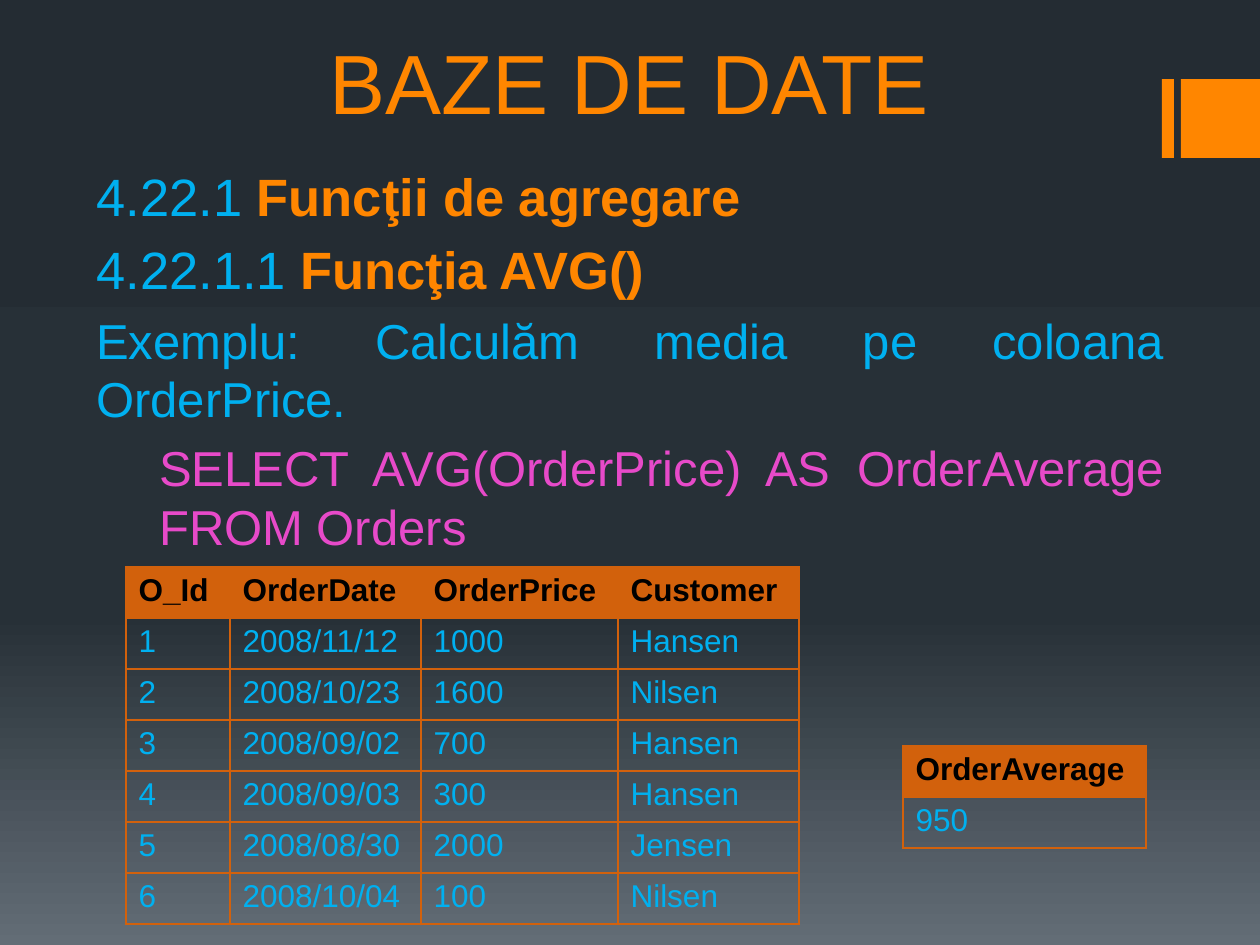
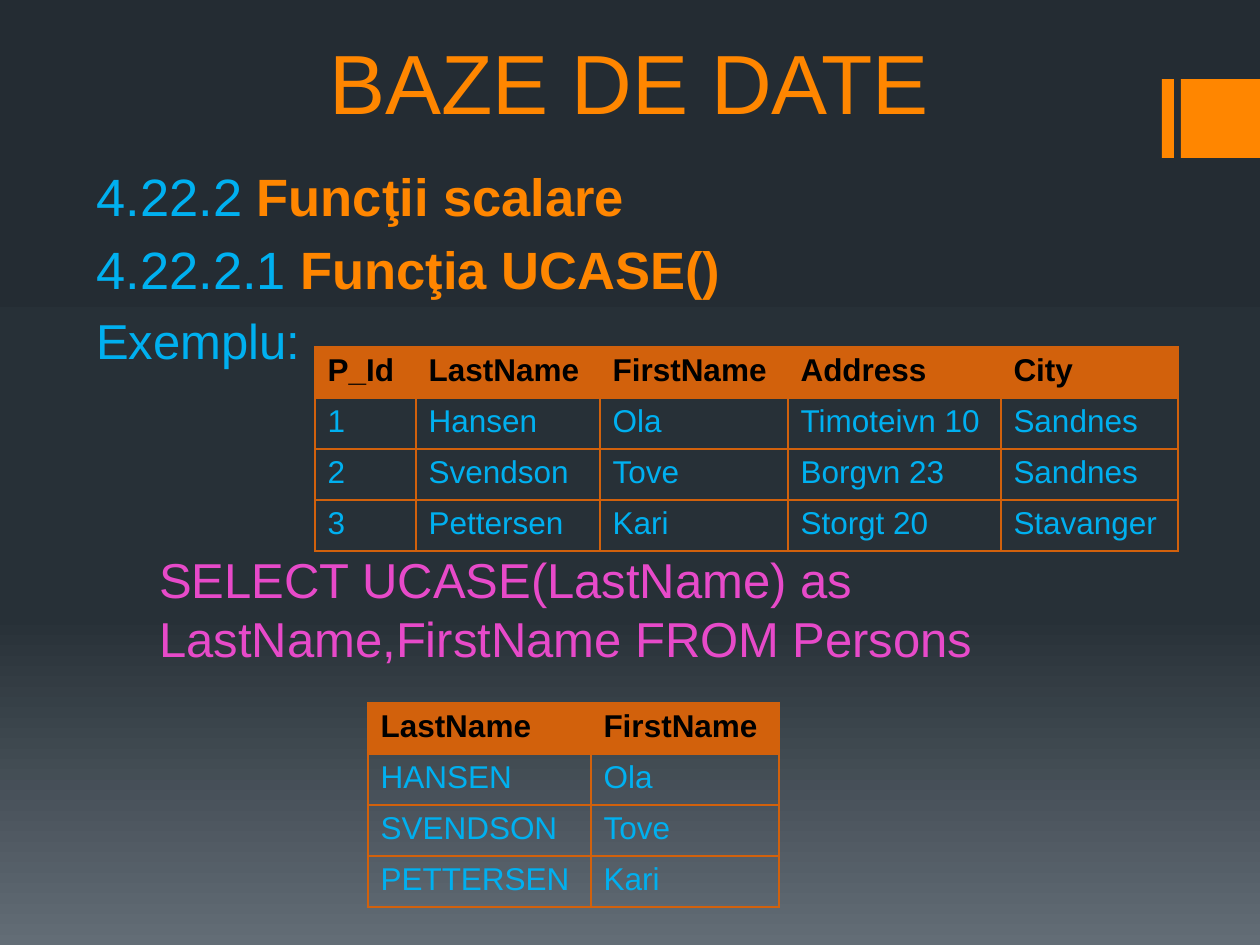
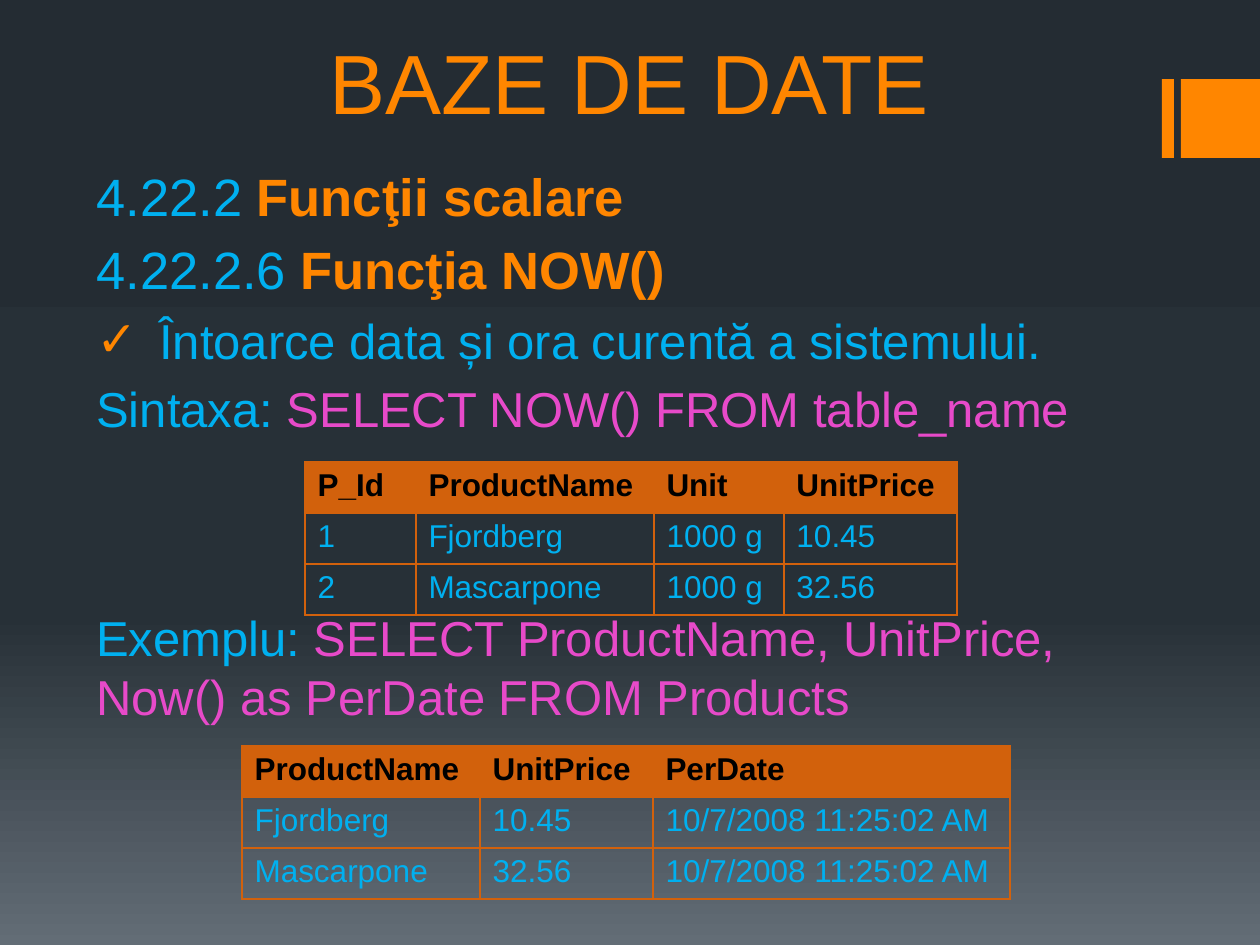
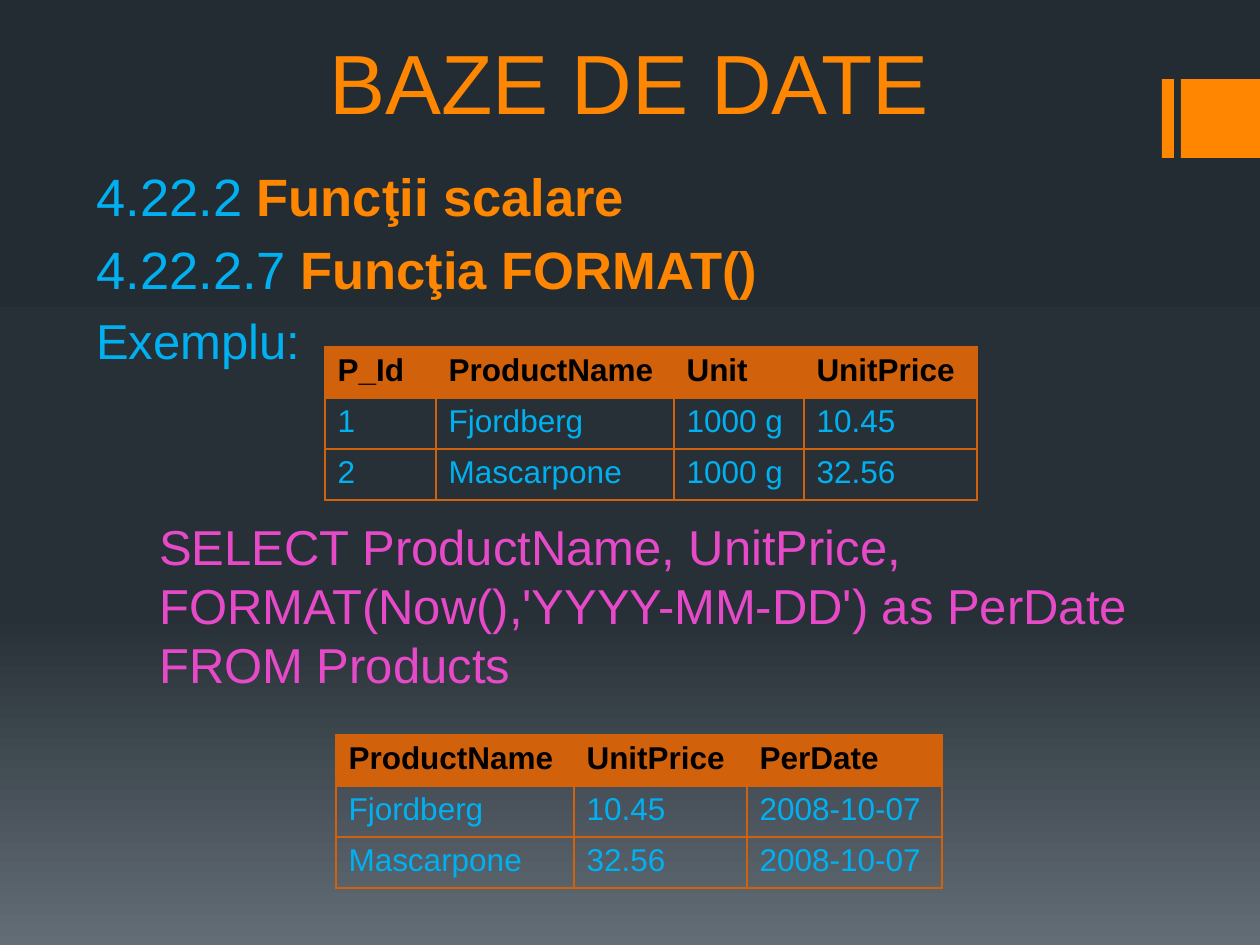
from lxml import etree
from pptx import Presentation
from pptx import util as u
from pptx.dml.color import RGBColor
from pptx.enum import shapes, text
from pptx.oxml import ns

WIDTH, HEIGHT = 1260, 945
FONT = "Arial"
ORANGE, BLUE, PINK = "FF8600", "00B0F0", "E74AC9"
HEADER, BLACK = "D2610C", "000000"
BACKGROUND = [(0, "242C33"), (65, "273037"), (100, "636D76")]

TITLE = "BAZE DE DATE"
TITLE_BOX = (94, 0, 1071, 138)
BODY_BOX = (84, 158, 1092, 703)
BARS = [(1162, 79, 12, 79), (1181, 79, 79, 79)]
ROW_HEIGHT = 51
INDENT = 63
LEFT, JUSTIFY = text.PP_ALIGN.LEFT, text.PP_ALIGN.JUSTIFY


def heading(number, name):
    return {"runs": [(number + " ", BLUE), (name, ORANGE, True)], "size": 30, "gap": 10}


def line(*runs, gap=10, align=LEFT, indent=0, bullet=None):
    return {"runs": runs, "size": 28, "gap": gap, "align": align,
            "indent": indent, "bullet": bullet}


SCALAR = heading("4.22.2", "Funcţii scalare")
EXAMPLE = line(("Exemplu:", BLUE), align=JUSTIFY)
PRODUCT_COLUMNS = [111, 238, 130, 173]
PRODUCTS = [
    ("P_Id", "ProductName", "Unit", "UnitPrice"),
    ("1", "Fjordberg", "1000 g", "10.45"),
    ("2", "Mascarpone", "1000 g", "32.56"),
]


def dated_products(date):
    prices = [(name, price, date) for _, name, _, price in PRODUCTS[1:]]
    return [("ProductName", "UnitPrice", "PerDate"), *prices]


# Each table is (left, top, column widths, rows).
SLIDES = [
    {
        "body": [
            heading("4.22.1", "Funcţii de agregare"),
            heading("4.22.1.1", "Funcţia AVG()"),
            line(("Exemplu: Calculăm media pe coloana OrderPrice.", BLUE), align=JUSTIFY),
            line(("SELECT AVG(OrderPrice) AS OrderAverage FROM Orders", PINK),
                 align=JUSTIFY, indent=INDENT),
        ],
        "tables": [
            (126, 567, [104, 191, 197, 181], [
                ("O_Id", "OrderDate", "OrderPrice", "Customer"),
                ("1", "2008/11/12", "1000", "Hansen"),
                ("2", "2008/10/23", "1600", "Nilsen"),
                ("3", "2008/09/02", "700", "Hansen"),
                ("4", "2008/09/03", "300", "Hansen"),
                ("5", "2008/08/30", "2000", "Jensen"),
                ("6", "2008/10/04", "100", "Nilsen"),
            ]),
            (903, 746, [243], [("OrderAverage",), ("950",)]),
        ],
    },
    {
        "body": [
            SCALAR,
            heading("4.22.2.1", "Funcţia UCASE()"),
            EXAMPLE,
            line(("SELECT UCASE(LastName) as LastName,FirstName FROM Persons", PINK),
                 gap=181, indent=INDENT),
        ],
        "tables": [
            (315, 347, [101, 184, 188, 213, 177], [
                ("P_Id", "LastName", "FirstName", "Address", "City"),
                ("1", "Hansen", "Ola", "Timoteivn 10", "Sandnes"),
                ("2", "Svendson", "Tove", "Borgvn 23", "Sandnes"),
                ("3", "Pettersen", "Kari", "Storgt 20", "Stavanger"),
            ]),
            (368, 703, [223, 188], [
                ("LastName", "FirstName"),
                ("HANSEN", "Ola"),
                ("SVENDSON", "Tove"),
                ("PETTERSEN", "Kari"),
            ]),
        ],
    },
    {
        "body": [
            SCALAR,
            heading("4.22.2.6", "Funcţia NOW()"),
            line(("Întoarce data și ora curentă a sistemului.", BLUE),
                 align=JUSTIFY, indent=INDENT, bullet="✓"),
            line(("Sintaxa: ", BLUE), ("SELECT NOW() FROM table_name", PINK), align=JUSTIFY),
            line(("Exemplu: ", BLUE),
                 ("SELECT ProductName, UnitPrice, Now() as PerDate FROM Products", PINK),
                 gap=170),
        ],
        "tables": [
            (305, 462, PRODUCT_COLUMNS, PRODUCTS),
            (242, 746, [238, 173, 357], dated_products("10/7/2008 11:25:02 AM")),
        ],
    },
    {
        "body": [
            SCALAR,
            heading("4.22.2.7", "Funcţia FORMAT()"),
            EXAMPLE,
            line(("SELECT ProductName, UnitPrice, FORMAT(Now(),'YYYY-MM-DD') "
                  "as PerDate FROM Products", PINK), gap=148, indent=INDENT),
        ],
        "tables": [
            (325, 347, PRODUCT_COLUMNS, PRODUCTS),
            (336, 735, [238, 173, 195], dated_products("2008-10-07")),
        ],
    },
]


def px(length):
    return u.Emu(round(length * 914400 / 126))


def rgb(color):
    return RGBColor.from_string(color)


def add_xml(parent, tag, **attributes):
    return etree.SubElement(parent, ns.qn(tag), attributes)


def style(font, size, color=None, bold=False):
    font.name, font.size, font.bold = FONT, u.Pt(size), bold
    if color:
        font.color.rgb = rgb(color)


def set_background(master):
    fill = master.background.fill
    fill.gradient()
    fill.gradient_angle = 270
    stops = master.element.find(".//" + ns.qn("p:bgPr") + "//" + ns.qn("a:gsLst"))
    for stop in list(stops):
        stops.remove(stop)
    for percent, color in BACKGROUND:
        stop = add_xml(stops, "a:gs", pos=str(percent * 1000))
        add_xml(stop, "a:srgbClr", val=color)


def add_bars(slide):
    for box in BARS:
        bar = slide.shapes.add_shape(shapes.MSO_SHAPE.RECTANGLE, *map(px, box))
        bar.shadow.inherit = False
        bar.fill.solid()
        bar.fill.fore_color.rgb = rgb(ORANGE)
        bar.line.fill.background()


def add_frame(slide, box):
    frame = slide.shapes.add_textbox(*map(px, box)).text_frame
    frame.word_wrap = True
    return frame


def add_title(slide):
    frame = add_frame(slide, TITLE_BOX)
    frame.vertical_anchor = text.MSO_ANCHOR.BOTTOM
    title = frame.paragraphs[0]
    title.text = TITLE
    title.alignment = text.PP_ALIGN.CENTER
    style(title.font, 48, ORANGE)


def add_body(slide, lines):
    frame = add_frame(slide, BODY_BOX)
    for number, item in enumerate(lines):
        paragraph = frame.add_paragraph() if number else frame.paragraphs[0]
        properties = paragraph._p.get_or_add_pPr()
        properties.set("marL", str(px(item.get("indent", 0))))
        if item.get("bullet"):
            properties.set("indent", str(-px(item["indent"])))
            add_xml(add_xml(properties, "a:buClr"), "a:srgbClr", val=ORANGE)
            add_xml(properties, "a:buFont", typeface=FONT)
            add_xml(properties, "a:buChar", char=item["bullet"])
        paragraph.alignment = item.get("align", LEFT)
        if number:
            paragraph.space_before = px(item["gap"])
        style(paragraph.font, item["size"])
        for words, color, *bold in item["runs"]:
            run = paragraph.add_run()
            run.text = words
            run.font.color.rgb = rgb(color)
            run.font.bold = bool(bold)


def add_borders(cell):
    properties = cell._tc.get_or_add_tcPr()
    for side in ("a:lnL", "a:lnR", "a:lnT", "a:lnB"):
        border = add_xml(properties, side, w=str(u.Pt(1)))
        add_xml(add_xml(border, "a:solidFill"), "a:srgbClr", val=HEADER)


def add_table(slide, left, top, widths, rows):
    box = (left, top, sum(widths), ROW_HEIGHT * len(rows))
    table = slide.shapes.add_table(len(rows), len(widths), *map(px, box)).table
    table.first_row = table.horz_banding = False
    for column, width in zip(table.columns, widths):
        column.width = px(width)
    for r, row in enumerate(rows):
        table.rows[r].height = px(ROW_HEIGHT)
        for c, value in enumerate(row):
            cell = table.cell(r, c)
            add_borders(cell)
            if r == 0:
                cell.fill.solid()
                cell.fill.fore_color.rgb = rgb(HEADER)
            else:
                cell.fill.background()
            paragraph = cell.text_frame.paragraphs[0]
            paragraph.text = value
            style(paragraph.font, 18, BLUE if r else BLACK, bold=r == 0)


def main():
    deck = Presentation()
    deck.slide_width, deck.slide_height = px(WIDTH), px(HEIGHT)
    set_background(deck.slide_master)
    for content in SLIDES:
        slide = deck.slides.add_slide(deck.slide_layouts[6])
        add_bars(slide)
        add_title(slide)
        add_body(slide, content["body"])
        for table in content["tables"]:
            add_table(slide, *table)
    deck.save("out.pptx")


if __name__ == "__main__":
    main()
